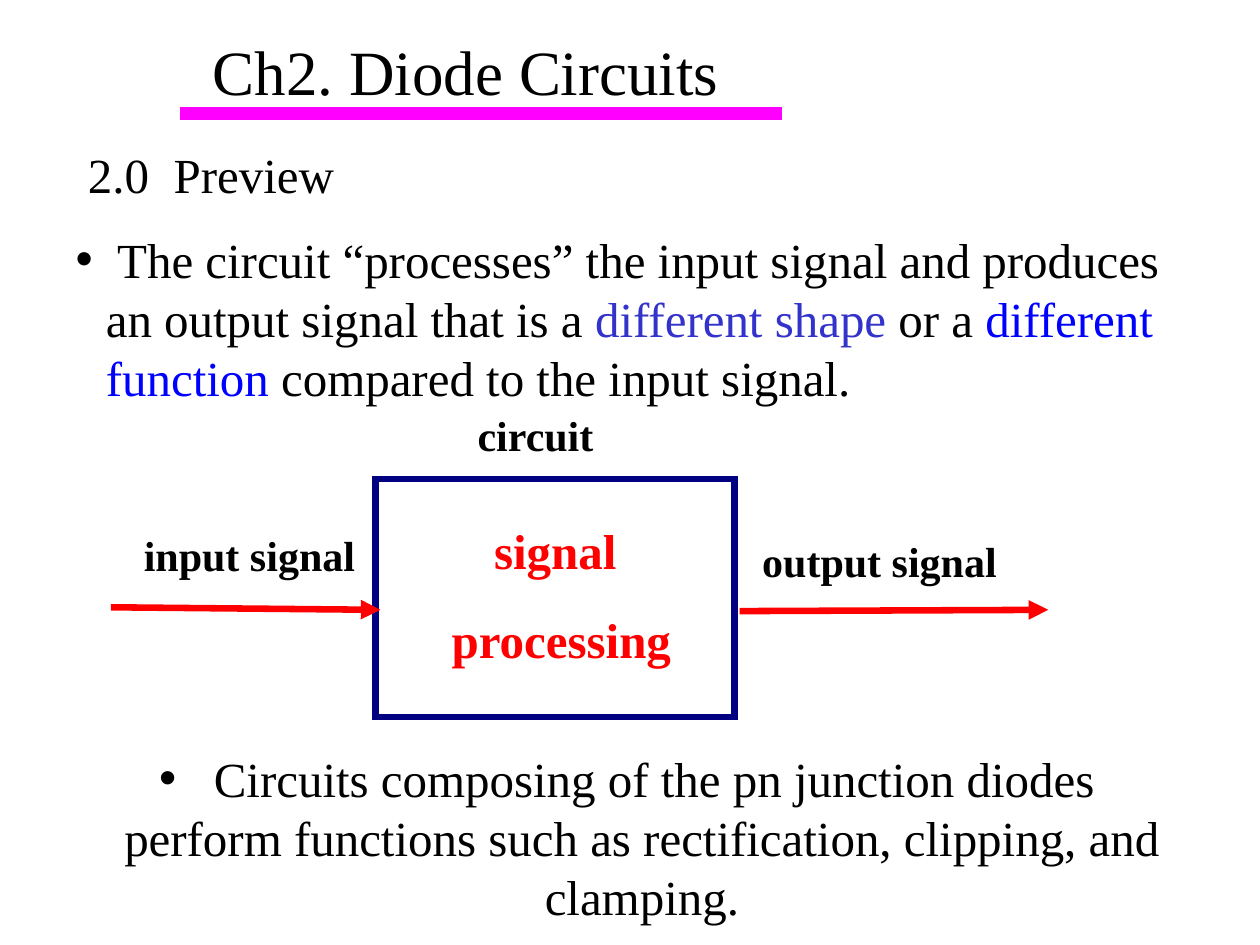
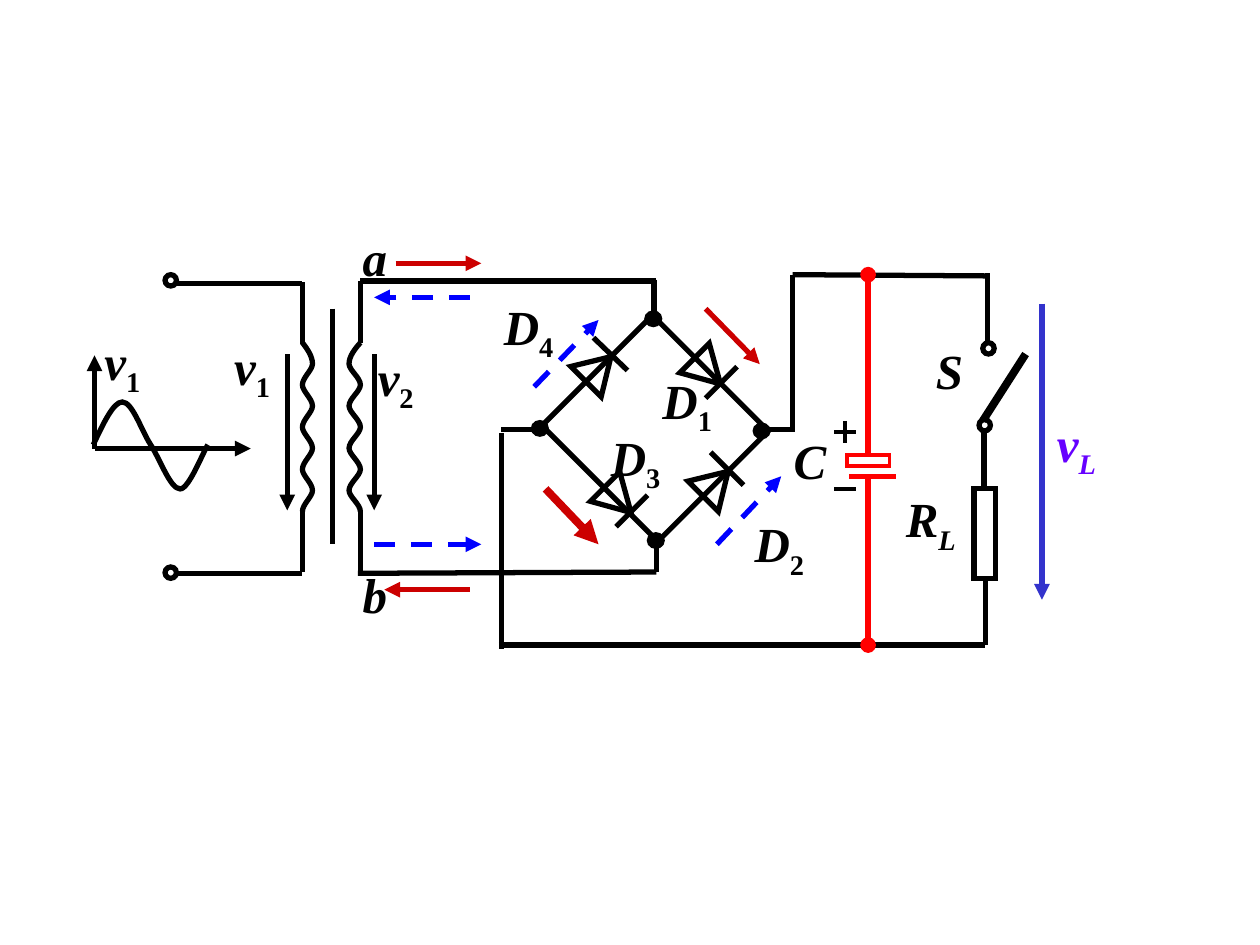
"""Build two slides on diode circuits: a signal preview and a bridge rectifier."""
from lxml import etree
from pptx import Presentation
from pptx.dml.color import RGBColor
from pptx.enum.dml import MSO_LINE
from pptx.enum.shapes import MSO_CONNECTOR, MSO_SHAPE
from pptx.enum.text import MSO_ANCHOR, MSO_AUTO_SIZE, PP_ALIGN
from pptx.oxml.ns import qn
from pptx.util import Inches, Pt

FONT = "Times New Roman"
BLACK = RGBColor(0, 0, 0)
RED = RGBColor(255, 0, 0)
DARK = RGBColor(0xCC, 0, 0)
BLUE = RGBColor(0, 0, 255)
INDIGO = RGBColor(0x33, 0x33, 0xCC)
NAVY = RGBColor(0, 0, 0x80)
PURPLE = RGBColor(0x66, 0, 0xFF)
PINK = RGBColor(255, 0, 255)
STRAIGHT = MSO_CONNECTOR.STRAIGHT
DASH = MSO_LINE.DASH
RECT, OVAL = MSO_SHAPE.RECTANGLE, MSO_SHAPE.OVAL
TRI = MSO_SHAPE.ISOSCELES_TRIANGLE
LEFT, CENTER = PP_ALIGN.LEFT, PP_ALIGN.CENTER
MIDDLE, TOP = MSO_ANCHOR.MIDDLE, MSO_ANCHOR.TOP
FIXED = MSO_AUTO_SIZE.NONE


def wire(slide, ends, color=BLACK, width=3, tip=None, dash=None, cap="flat"):
    line = slide.shapes.add_connector(STRAIGHT, *map(Inches, ends))
    line.line.color.rgb = color
    line.line.width = Pt(width)
    if dash:
        line.line.dash_style = dash
    props = line._element.spPr
    stroke = props.find(qn("a:ln"))
    stroke.set("cap", cap)
    if tip:
        etree.SubElement(stroke, qn("a:tailEnd"), type=tip)
    etree.SubElement(props, qn("a:effectLst"))


def label(slide, box, lines, size=28, color=BLACK, bold=True, slant=False, align=LEFT):
    frame = slide.shapes.add_textbox(*map(Inches, box)).text_frame
    frame.word_wrap = align == LEFT
    frame.text = lines
    for num, para in enumerate(frame.paragraphs):
        para.alignment = align
        para.space_before = Pt(17.5 if num else 0)
        font = para.font
        font.name, font.size, font.bold, font.italic = FONT, Pt(size), bold, slant
        font.color.rgb = color
    return frame.paragraphs[0]


deck = Presentation()
deck.slide_width, deck.slide_height = Inches(10), Inches(7.5)
parts = []

intro = deck.slides.add_slide(deck.slide_layouts[3])
title, first, last = intro.placeholders
first_runs = [
    (" The circuit “processes” the input signal and produces an output signal that is a ", BLACK),
    ("different shape", INDIGO),
    (" or a ", BLACK),
    ("different function", BLUE),
    (" compared to the input signal.", BLACK),
]
last_runs = [("  Circuits composing of the pn junction diodes perform functions such as "
              "rectification, clipping, and clamping.", BLACK)]
for holder, box, runs, size, align, anchor in [
    (title, (1.59, 0, 4.33, 1.11), [("Ch2. Diode Circuits", BLACK)], 36, LEFT, MIDDLE),
    (first, (0.5, 1.77, 9.22, 1.5), first_runs, 28, LEFT, TOP),
    (last, (0.51, 5.89, 8.93, 1.5), last_runs, 28, CENTER, TOP),
]:
    holder.left, holder.top, holder.width, holder.height = map(Inches, box)
    frame = holder.text_frame
    frame.auto_size, frame.word_wrap, frame.vertical_anchor = FIXED, True, anchor
    para = frame.paragraphs[0]
    para.alignment, para.space_before = align, Pt(0)
    para.font.name, para.font.size = FONT, Pt(size)
    if holder is not title:
        props = para._p.get_or_add_pPr()
        props.set("marL", str(Inches(0.24)))
        props.set("indent", str(-Inches(0.24)))
    for text, color in runs:
        run = para.add_run()
        run.text = text
        run.font.color.rgb = color

wire(intro, (1.48, 0.9, 6.16, 0.9), PINK, 7, cap="sq")
label(intro, (0.6, 1.1, 3.06, 0.58), "2.0  Preview", bold=False)
block = intro.shapes.add_shape(RECT, *map(Inches, (2.98, 3.8, 2.85, 1.89)))
parts.append((block, NAVY, 3.75, None))
label(intro, (3.48, 4.08, 1.95, 1.28), "signal \nprocessing", color=RED, align=CENTER)
for box, text in [
    ((0.98, 4.15, 2, 0.5), "input signal"),
    ((5.93, 4.2, 2.1, 0.5), "output signal"),
    ((3.69, 3.2, 1.12, 0.5), "circuit"),
]:
    label(intro, box, text, 24, align=CENTER)
for ends in [(0.88, 4.82, 3.02, 4.84), (5.87, 4.85, 8.32, 4.84)]:
    wire(intro, ends, RED, 3.75, "triangle")

bridge = deck.slides.add_slide(deck.slide_layouts[6])
for ends in [
    (1.4, 2.25, 2.4, 2.25), (1.4, 4.55, 2.4, 4.55),
    (2.4, 2.24, 2.4, 2.73), (2.4, 4.05, 2.4, 4.54),
    (2.64, 2.45, 2.64, 4.32),
    (2.86, 2.23, 2.86, 2.72), (2.86, 4.05, 2.86, 4.54),
    (2.86, 2.23, 5.21, 2.23), (2.84, 4.55, 5.21, 4.54),
    (5.19, 2.22, 5.19, 2.49), (5.21, 4.54, 5.21, 4.32),
    (4.35, 3.41, 3.98, 3.41), (3.98, 3.44, 3.98, 5.15),
    (6.07, 3.41, 6.29, 3.41), (6.29, 2.18, 6.29, 3.43),
    (6.29, 2.18, 7.85, 2.19), (7.84, 2.17, 7.84, 2.71),
    (7.81, 3.88, 7.81, 3.42), (7.82, 5.12, 7.82, 4.59),
    (3.96, 5.12, 7.82, 5.12),
]:
    wire(bridge, ends)
wire(bridge, (7.8, 3.34, 8.14, 2.81), width=4.5)
for ends in [(6.62, 3.43, 6.79, 3.43), (6.71, 3.34, 6.71, 3.52), (6.62, 3.88, 6.79, 3.88)]:
    wire(bridge, ends, width=2.25)

for ends, color, width, dash in [
    ((0.75, 3.56, 0.75, 2.82), BLACK, 3, None),
    ((0.75, 3.56, 1.99, 3.56), BLACK, 3, None),
    ((2.28, 2.81, 2.28, 4.05), BLACK, 3, None),
    ((2.97, 2.81, 2.97, 4.05), BLACK, 3, None),
    ((3.14, 2.09, 3.82, 2.09), DARK, 3, None),
    ((3.73, 4.68, 3.05, 4.68), DARK, 3, None),
    ((4.33, 3.88, 4.75, 4.32), DARK, 4.5, None),
    ((5.6, 2.45, 6.03, 2.89), DARK, 3, None),
    ((3.73, 2.36, 2.97, 2.36), BLUE, 3, DASH),
    ((2.97, 4.32, 3.82, 4.32), BLUE, 3, DASH),
    ((5.69, 4.32, 6.2, 3.78), BLUE, 3, DASH),
    ((4.24, 3.07, 4.75, 2.54), BLUE, 3, DASH),
    ((8.27, 2.41, 8.27, 4.76), INDIGO, 3, None),
]:
    wire(bridge, ends, color, width, "triangle", dash)

curves = [[
    (0.74, 3.53), (0.82, 3.36), (0.9, 3.19), (0.97, 3.19), (1.05, 3.19), (1.12, 3.41),
    (1.19, 3.52), (1.27, 3.64), (1.35, 3.88), (1.43, 3.88), (1.5, 3.88), (1.61, 3.59),
    (1.65, 3.53),
]]
for near, far in [(2.4, 2.48), (2.86, 2.77)]:
    coil = [(near, 2.72)]
    for turn in range(8):
        start, end = (far, near) if turn % 2 else (near, far)
        y = 2.72 + turn * 1.34 / 8
        bend = start if turn else (near + far) / 2
        coil += [(bend, y + 0.05), (end, y + 0.11), (end, y + 1.34 / 8)]
    curves.append(coil)
for curve in curves:
    dots = [(Inches(x), Inches(y)) for x, y in curve]
    pen = bridge.shapes.build_freeform(*dots[0])
    pen.add_line_segments(dots[1:], close=False)
    shape = pen.convert_to_shape()
    steps = list(shape._element.iter(qn("a:lnTo")))
    for one in range(0, len(steps), 3):
        trio = steps[one:one + 3]
        arc = etree.SubElement(trio[0].getparent(), qn("a:cubicBezTo"))
        for step in trio:
            arc.append(step[0])
            step.getparent().remove(step)
    parts.append((shape, BLACK, 3, None))

for bar, box, turn in [
    ((4.71, 2.68, 4.98, 2.94), (4.58, 2.79, 0.34, 0.28), 45),
    ((5.64, 3.59, 5.9, 3.85), (5.51, 3.7, 0.34, 0.28), 45),
    ((5.85, 2.91, 5.6, 3.16), (5.45, 2.8, 0.33, 0.29), 135),
    ((5.14, 3.93, 4.89, 4.18), (4.74, 3.82, 0.33, 0.29), 135),
]:
    wire(bridge, bar)
    diode = bridge.shapes.add_shape(TRI, *map(Inches, box))
    diode.rotation = turn
    parts.append((diode, BLACK, 3, None))

ring = bridge.shapes.add_shape(RECT, *map(Inches, (4.55, 2.78, 1.3, 1.24)))
ring.rotation = 45
parts.append((ring, BLACK, 3, None))
for kind, box, color, width, fill in [
    (RECT, (7.73, 3.88, 0.17, 0.71), BLACK, 3, None),
    (RECT, (6.72, 3.61, 0.34, 0.09), RED, 2.25, None),
    *[(OVAL, (x, y, 0.09, 0.09), BLACK, 3, None)
      for x, y in [(1.31, 2.18), (1.31, 4.5), (7.77, 3.33), (7.8, 2.72)]],
    *[(OVAL, (x, y, 0.13, 0.12), BLACK, 1, BLACK)
      for x, y in [(5.14, 4.23), (5.98, 3.36), (4.22, 3.34), (5.12, 2.47)]],
]:
    shape = bridge.shapes.add_shape(kind, *map(Inches, box))
    parts.append((shape, color, width, fill))

wire(bridge, (6.74, 3.78, 7.11, 3.78), RED)
for ends in [(6.89, 3.78, 6.89, 5.12), (6.89, 3.61, 6.89, 2.18)]:
    wire(bridge, ends, RED, tip="oval")

for box, text, sub, color in [
    ((2.78, 1.76, 0.39, 0.57), "a", "", BLACK),
    ((2.78, 4.43, 0.39, 0.57), "b", "", BLACK),
    ((7.33, 2.65, 0.41, 0.57), "S", "", BLACK),
    ((6.2, 3.37, 0.46, 0.57), "C", "", BLACK),
    ((0.73, 2.58, 0.63, 0.63), "v", "1", BLACK),
    ((1.76, 2.62, 0.63, 0.63), "v", "1", BLACK),
    ((2.9, 2.71, 0.63, 0.63), "v", "2", BLACK),
    ((5.16, 2.89, 0.63, 0.63), "D", "1", BLACK),
    ((5.89, 4.03, 0.63, 0.63), "D", "2", BLACK),
    ((4.75, 3.34, 0.63, 0.63), "D", "3", BLACK),
    ((3.9, 2.3, 0.63, 0.63), "D", "4", BLACK),
    ((7.09, 3.83, 1.15, 0.63), "R", "L", BLACK),
    ((8.29, 3.23, 1, 0.63), "v", "L", PURPLE),
]:
    para = label(bridge, box, text, color=color, slant=True)
    if sub:
        run = para.add_run()
        run.text = sub
        run.font.italic = sub == "L"
        run._r.get_or_add_rPr().set("baseline", "-25000")

for shape, color, width, fill in parts:
    shape.shadow.inherit = False
    shape.line.color.rgb = color
    shape.line.width = Pt(width)
    etree.SubElement(shape._element.spPr.find(qn("a:ln")), qn("a:miter"), lim="800000")
    if fill is None:
        shape.fill.background()
    else:
        shape.fill.solid()
        shape.fill.fore_color.rgb = fill

deck.save("out.pptx")
